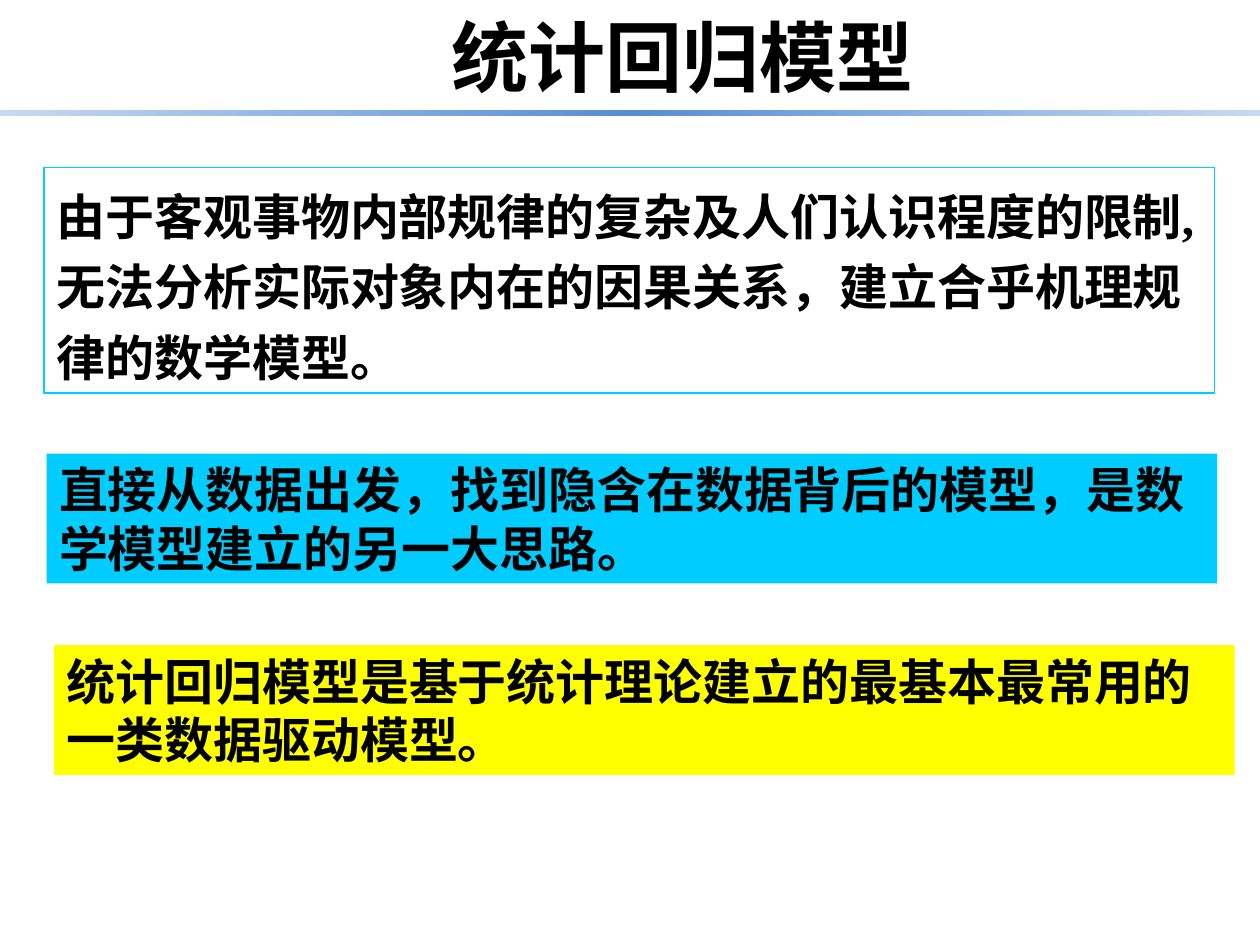
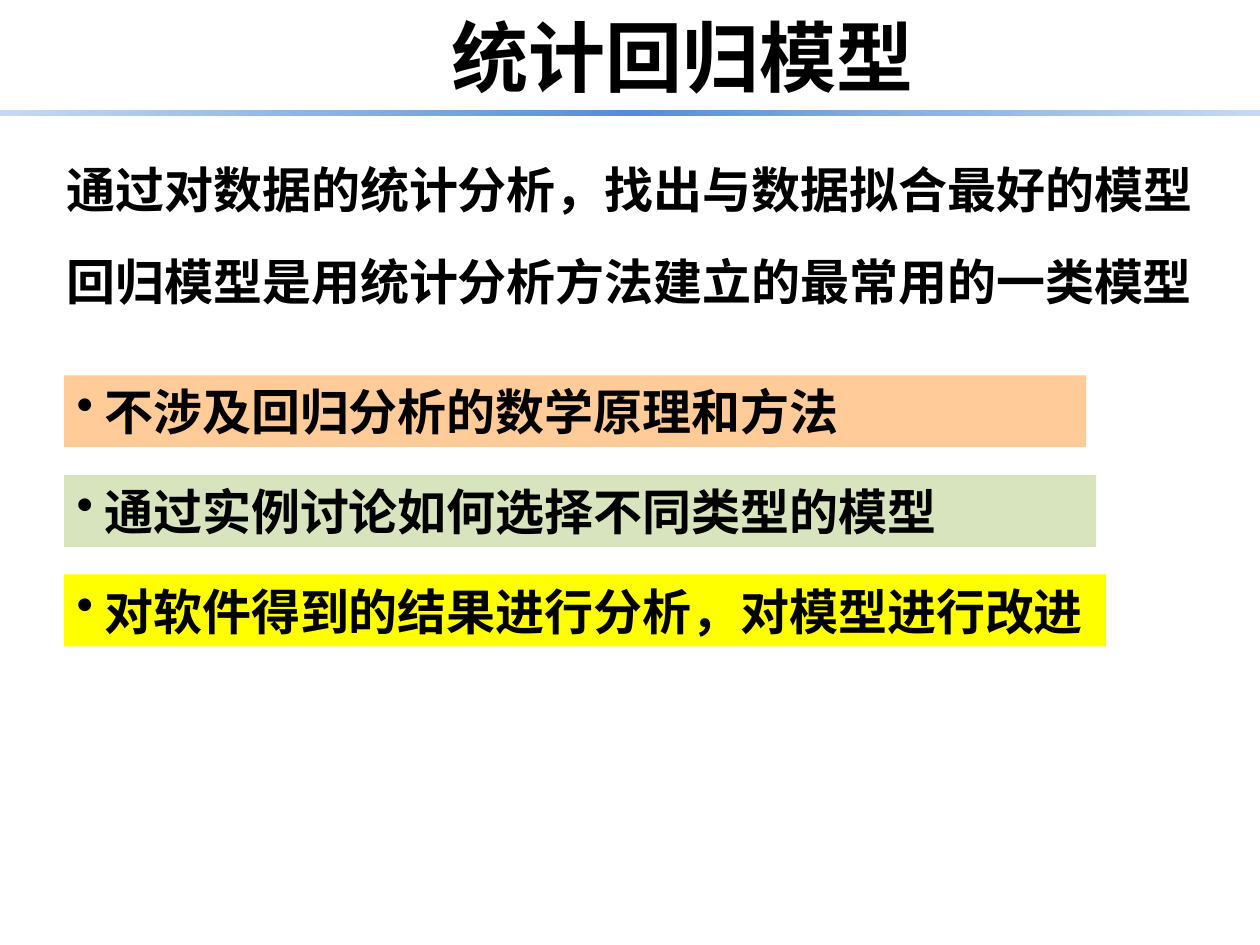
from lxml import etree
from pptx import Presentation
from pptx.dml.color import RGBColor
from pptx.enum.shapes import MSO_SHAPE as Shape
from pptx.enum.text import MSO_ANCHOR as Anchor, MSO_AUTO_SIZE as AutoSize, PP_ALIGN as Align
from pptx.oxml.ns import qn
from pptx.util import Inches, Pt

# Shared look
BLACK, CYAN, YELLOW = "000000", "00CCFF", "FFFF00"
PEACH, GREEN = "FFCC99", "D7E4BD"
RULE_COLOURS = ["C6D9F1", "8EB4E3", "558ED5", "8EB4E3", "C6D9F1"]
TITLE = "统计回归模型"
TITLE_FONT, BODY_FONT = "Courier New", "Times New Roman"
TITLE_SIZE, BODY_SIZE = 44, 28
BULLET_INDENT = Inches(0.22)


def rgb(colour):
    return RGBColor.from_string(colour)


def write(shape, text, font_name, size, align):
    frame = shape.text_frame
    frame.text = text
    frame.word_wrap = True
    frame.auto_size = AutoSize.NONE
    paragraph = frame.paragraphs[0]
    paragraph.alignment = align
    for run in paragraph.runs:
        font = run.font
        font.name, font.size, font.bold = font_name, Pt(size), True
        font.color.rgb = rgb(BLACK)
    return paragraph


def add_bar(slide, left, top, width, height):
    bar = slide.shapes.add_shape(Shape.RECTANGLE, Inches(left), Inches(top),
                                 Inches(width), Inches(height))
    bar.shadow.inherit = False
    bar.line.fill.background()
    return bar


def add_rule(slide):
    """Blue rule under the title, darkest in the middle."""
    rule = add_bar(slide, 0, 0.87, 10, 0.05)
    rule.fill.gradient()
    rule.fill.gradient_angle = 0
    stops = rule.fill._fill._gradFill.find(qn("a:gsLst"))
    for stop in list(stops):
        stops.remove(stop)
    for index, colour in enumerate(RULE_COLOURS):
        stop = etree.SubElement(stops, qn("a:gs"), pos=str(index * 25000))
        etree.SubElement(stop, qn("a:srgbClr"), val=colour)


def add_titled_slide(deck):
    slide = deck.slides.add_slide(deck.slide_layouts[5])
    add_rule(slide)
    title = slide.shapes.title
    title.left, title.top = Inches(0.83), Inches(0.02)
    title.width, title.height = Inches(9.17), Inches(0.84)
    write(title, TITLE, TITLE_FONT, TITLE_SIZE, Align.CENTER)
    return slide


def add_statement(slide, text, left, top, width, height):
    box = slide.shapes.add_textbox(Inches(left), Inches(top), Inches(width), Inches(height))
    write(box, text, BODY_FONT, BODY_SIZE, Align.LEFT)


def add_panel(slide, text, left, top, width, height, fill=None, outline=None):
    panel = add_bar(slide, left, top, width, height)
    if fill:
        panel.fill.solid()
        panel.fill.fore_color.rgb = rgb(fill)
    else:
        panel.fill.background()
    if outline:
        panel.line.color.rgb = rgb(outline)
        panel.line.width = Pt(0.75)
    paragraph = write(panel, text, BODY_FONT, BODY_SIZE, Align.LEFT)
    panel.text_frame.vertical_anchor = Anchor.MIDDLE
    return paragraph


def add_bullet(paragraph):
    properties = paragraph._p.get_or_add_pPr()
    properties.set("marL", str(BULLET_INDENT))
    properties.set("indent", str(-BULLET_INDENT))
    etree.SubElement(properties, qn("a:buChar"), char="•")


def build_motivation(deck):
    slide = add_titled_slide(deck)
    limitation = add_panel(
        slide,
        "由于客观事物内部规律的复杂及人们认识程度的限制,无法分析实际对象内在的因果关系，"
        "建立合乎机理规律的数学模型。",
        0.35, 1.33, 9.29, 1.79, outline=CYAN)
    limitation.line_spacing = 1.2
    add_panel(slide, "直接从数据出发，找到隐含在数据背后的模型，是数学模型建立的另一大思路。",
              0.37, 3.6, 9.29, 1.03, fill=CYAN)
    add_panel(slide, "统计回归模型是基于统计理论建立的最基本最常用的一类数据驱动模型。",
              0.43, 5.12, 9.37, 1.03, fill=YELLOW)


def build_scope(deck):
    slide = add_titled_slide(deck)
    add_statement(slide, "通过对数据的统计分析，找出与数据拟合最好的模型", 0.43, 1.22, 9.29, 0.57)
    add_statement(slide, "回归模型是用统计分析方法建立的最常用的一类模型", 0.43, 1.95, 9.37, 0.57)

    # Course aims: equal steps down, each bar slightly wider
    aims = [("不涉及回归分析的数学原理和方法", PEACH),
            ("通过实例讨论如何选择不同类型的模型", GREEN),
            ("对软件得到的结果进行分析，对模型进行改进", YELLOW)]
    for row, (aim, fill) in enumerate(aims):
        add_bullet(add_panel(slide, aim, 0.51, 2.98 + 0.79 * row,
                             8.11 + 0.08 * row, 0.57, fill=fill))


def main():
    deck = Presentation()
    deck.slide_width, deck.slide_height = Inches(10), Inches(7.5)
    build_motivation(deck)
    build_scope(deck)
    deck.save("out.pptx")


if __name__ == "__main__":
    main()
